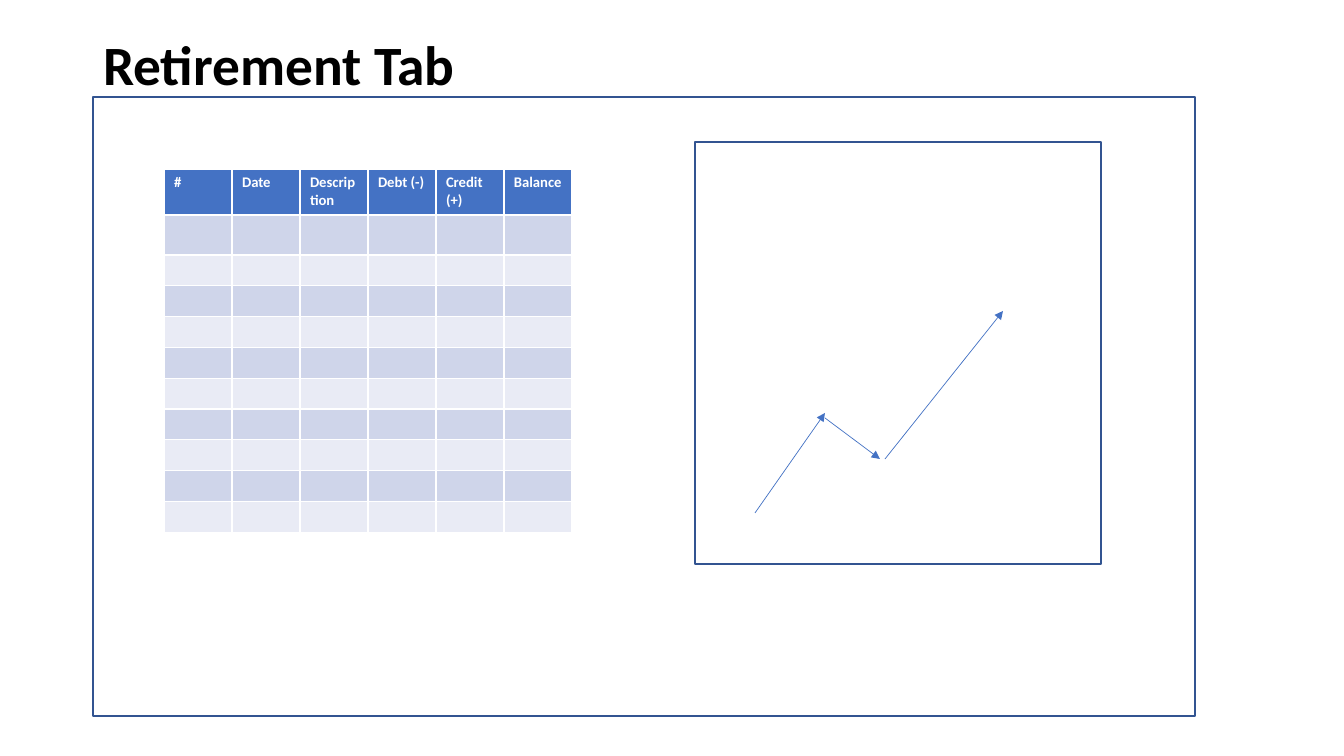
from lxml.etree import SubElement
from pptx import Presentation
from pptx.dml.color import RGBColor
from pptx.enum.shapes import MSO_CONNECTOR as CONNECTOR, MSO_SHAPE as SHAPE
from pptx.enum.text import MSO_ANCHOR as ANCHOR, MSO_AUTO_SIZE as AUTO_SIZE, PP_ALIGN as ALIGN
from pptx.oxml.ns import qn
from pptx.util import Pt

EMU_PER_PX = 914400 / 100.8
HEADINGS = ["#", "Date", "Description", "Debt (-)", "Credit (+)", "Balance"]
ROW_HEIGHTS = [46, 40] + [30] * 9
COLUMN_WIDTH = 68
BAND_FILLS = ["E9EBF5", "CFD5EA"]
TREND = [
    ((755, 513), (825, 413)),
    ((825, 418), (880, 459)),
    ((885, 459), (1003, 311)),
]


def px(*lengths):
    """Turn pixel lengths into a list of EMU."""
    return [round(length * EMU_PER_PX) for length in lengths]


def color(hex_string):
    """Turn a hex string into a colour."""
    return RGBColor.from_string(hex_string)


def apply(target, formats):
    """Set each attribute in a dict of format values."""
    for name, value in formats.items():
        setattr(target, name, value)


def set_text(frame, wording, size, hex_color):
    """Write one bold paragraph into a text frame and return it."""
    paragraph = frame.paragraphs[0]
    run = paragraph.add_run()
    run.text = wording
    apply(run.font, {"name": "Calibri", "size": Pt(size), "bold": True})
    run.font.color.rgb = color(hex_color)
    return paragraph


def set_title(slide, wording, left, top, width, height):
    """Place and format the slide title."""
    title = slide.shapes.title
    apply(title, dict(zip(("left", "top", "width", "height"), px(left, top, width, height))))
    apply(title.text_frame, {
        "vertical_anchor": ANCHOR.MIDDLE, "word_wrap": True, "auto_size": AUTO_SIZE.NONE,
    })
    heading = set_text(title.text_frame, wording, 39.6, "000000")
    apply(heading, {"alignment": ALIGN.LEFT, "line_spacing": 0.9})


def add_panel(slide, left, top, width, height):
    """Add an unfilled outlined rectangle."""
    panel = slide.shapes.add_shape(SHAPE.RECTANGLE, *px(left, top, width, height))
    panel.shadow.inherit = False
    panel.fill.background()
    panel.line.color.rgb = color("325491")
    panel.line.width = Pt(1)


def add_ledger(slide, left, top):
    """Add the ledger table with headings and empty banded rows."""
    size = px(left, top, COLUMN_WIDTH * len(HEADINGS), sum(ROW_HEIGHTS))
    ledger = slide.shapes.add_table(len(ROW_HEIGHTS), len(HEADINGS), *size).table
    for column in ledger.columns:
        column.width = px(COLUMN_WIDTH)[0]
    for index, (row, height) in enumerate(zip(ledger.rows, ROW_HEIGHTS)):
        row.height = px(height)[0]
        for cell, heading in zip(row.cells, HEADINGS):
            cell.fill.solid()
            if index == 0:
                cell.fill.fore_color.rgb = color("4472C4")
                set_text(cell.text_frame, heading, 10.5, "FFFFFF")
            else:
                cell.fill.fore_color.rgb = color(BAND_FILLS[index % 2])
                apply(cell, {"margin_top": 0, "margin_bottom": 0})


def add_trend_arrow(slide, start, end):
    """Add a thin arrow from start to end."""
    arrow = slide.shapes.add_connector(CONNECTOR.STRAIGHT, *px(*start, *end))
    arrow.line.color.rgb = color("4472C4")
    arrow.line.width = Pt(0.5)
    SubElement(arrow.line._get_or_add_ln(), qn("a:tailEnd"), type="triangle")
    SubElement(arrow._element.spPr, qn("a:effectLst"))


def main():
    """Build and save the slide."""
    deck = Presentation()
    deck.slide_width, deck.slide_height = px(1344, 756)
    slide = deck.slides.add_slide(deck.slide_layouts[5])
    set_title(slide, "Retirement Tab", 93, 40, 1159, 56)
    add_panel(slide, 93, 97, 1102, 619)
    add_ledger(slide, 164, 169)
    add_panel(slide, 695, 142, 406, 422)
    for start, end in TREND:
        add_trend_arrow(slide, start, end)
    deck.save("out.pptx")


if __name__ == "__main__":
    main()
